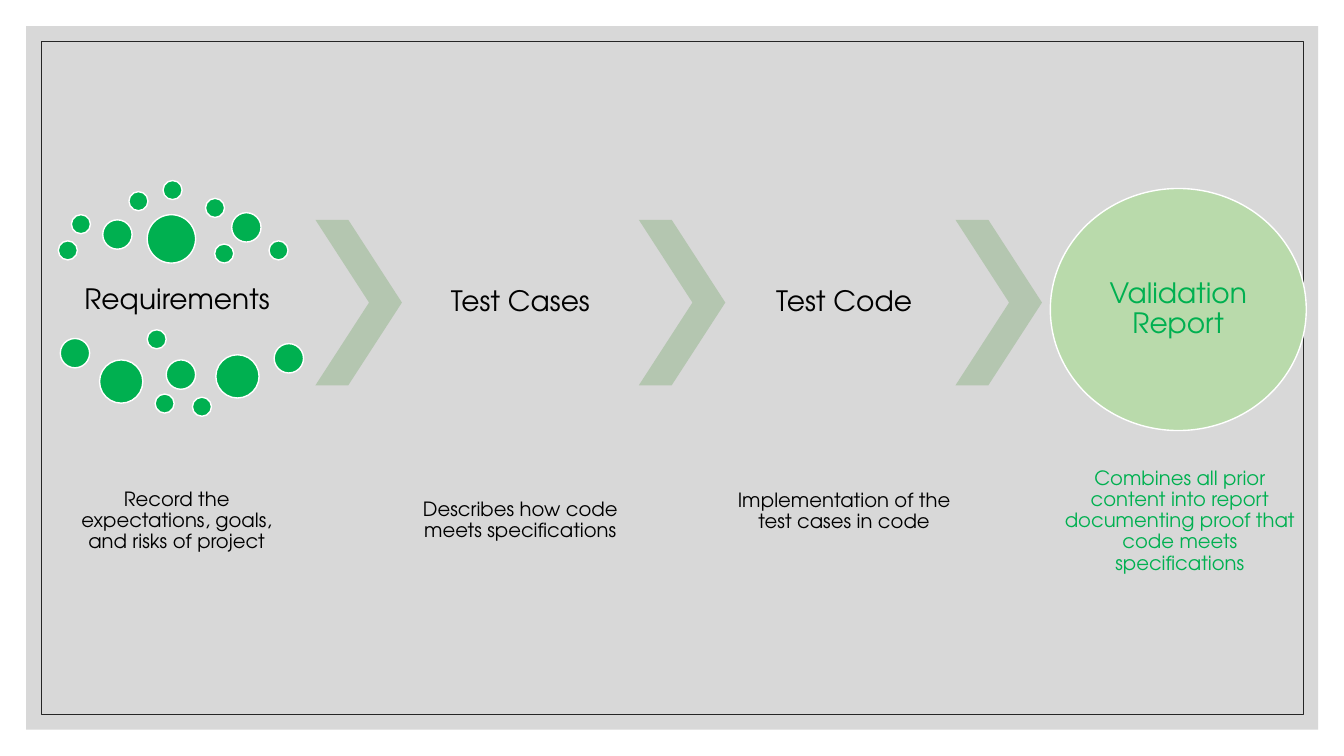
from dataclasses import dataclass

from lxml.etree import SubElement
from pptx import Presentation
from pptx.dml.color import RGBColor
from pptx.enum.shapes import MSO_SHAPE
from pptx.enum.text import MSO_ANCHOR, PP_ALIGN
from pptx.oxml.ns import qn
from pptx.shapes.autoshape import Shape
from pptx.slide import Slide
from pptx.util import Cm, Pt

FONT = "TeX Gyre Adventor"
COLORS = {
    "panel": "BFBFBF",
    "frame": "262626",
    "text": "000000",
    "green": "00B050",
    "chevron": "B4C6B0",
    "report": "B9DAAB",
    "outline": "FFFFFF",
}
SMALL, MEDIUM, LARGE, HUGE = 0.48, 0.74, 1.09, 1.22


@dataclass(frozen=True)
class Box:
    left: float
    top: float
    width: float
    height: float


@dataclass(frozen=True)
class Dot:
    left: float
    top: float
    size: float = SMALL


@dataclass(frozen=True)
class Label:
    text: str
    box: Box
    size: int
    inset: float
    color: str = "text"


@dataclass(frozen=True)
class Step:
    title: Label
    description: Label


def make_step(title: str, title_box: Box, description: str, left: float, top: float,
              color: str = "text", inset: float = 0.08) -> Step:
    return Step(
        Label(title, title_box, 20, inset, color),
        Label(description, Box(left, top, 5.97, 3.68), 14, 0.05, color),
    )


STEPS = [
    make_step("Requirements", Box(0.97, 6.58, 6.99, 1.96),
              "Record the expectations, goals, and risks of project", 1.47, 11.3),
    make_step("Test Cases", Box(10.13, 5.54, 5.97, 4.17),
              "Describes how code meets specifications", 10.13, 11.28),
    make_step("Test Code", Box(18.29, 5.54, 5.97, 4.17),
              "Implementation of the test cases in code", 18.29, 11.05),
    make_step("Validation Report", Box(27.41, 5.64, 4.57, 4.32),
              "Combines all prior content into report documenting proof that "
              "code meets specifications", 26.75, 11.3, "green", 0),
]
CHEVRON_LEFTS = [7.95, 16.1, 24.08]
DOTS = [
    Dot(1.47, 6.07), Dot(1.8, 5.41), Dot(2.59, 5.54, MEDIUM),
    Dot(3.25, 4.83), Dot(4.11, 4.55), Dot(5.18, 5),
    Dot(5.84, 5.36, MEDIUM), Dot(6.78, 6.07), Dot(5.41, 6.15),
    Dot(3.71, 5.41, HUGE), Dot(3.71, 8.31), Dot(1.52, 8.53, MEDIUM),
    Dot(2.51, 9.07, LARGE), Dot(3.91, 9.93), Dot(4.19, 9.07, MEDIUM),
    Dot(4.85, 10.01), Dot(5.44, 8.94, LARGE), Dot(6.91, 8.66, MEDIUM),
]


def color_of(name: str) -> RGBColor:
    return RGBColor.from_string(COLORS[name])


def add_figure(slide: Slide, kind: MSO_SHAPE, box: Box, fill: str = "",
               line: str = "", line_width: float = 1) -> Shape:
    shape = slide.shapes.add_shape(
        kind, Cm(box.left), Cm(box.top), Cm(box.width), Cm(box.height))
    shape.shadow.inherit = False
    if fill:
        shape.fill.solid()
        shape.fill.fore_color.rgb = color_of(fill)
    else:
        shape.fill.background()
    if line:
        shape.line.color.rgb = color_of(line)
        shape.line.width = Pt(line_width)
    else:
        shape.line.fill.background()
    return shape


def set_opacity(shape: Shape, percent: int) -> None:
    color = shape.element.spPr.find(qn("a:solidFill")).find(qn("a:srgbClr"))
    SubElement(color, qn("a:alpha")).set("val", str(percent * 1000))


def add_label(slide: Slide, label: Label) -> None:
    box = label.box
    shape = slide.shapes.add_textbox(
        Cm(box.left), Cm(box.top), Cm(box.width), Cm(box.height))
    text_frame = shape.text_frame
    text_frame.text = label.text
    text_frame.word_wrap = True
    text_frame.vertical_anchor = MSO_ANCHOR.MIDDLE
    text_frame.margin_left = text_frame.margin_right = Cm(label.inset)
    text_frame.margin_top = text_frame.margin_bottom = Cm(label.inset)
    paragraph = text_frame.paragraphs[0]
    paragraph.alignment = PP_ALIGN.CENTER
    paragraph.line_spacing = 0.9
    font = paragraph.runs[0].font
    font.name = FONT
    font.size = Pt(label.size)
    font.color.rgb = color_of(label.color)


def main() -> None:
    presentation = Presentation()
    presentation.slide_width = Cm(33.87)
    presentation.slide_height = Cm(19.05)
    slide = presentation.slides.add_slide(presentation.slide_layouts[6])

    panel = add_figure(slide, MSO_SHAPE.RECTANGLE, Box(0.66, 0.66, 32.56, 17.73), "panel")
    set_opacity(panel, 60)
    add_figure(slide, MSO_SHAPE.RECTANGLE, Box(1.04, 1.04, 31.8, 16.97),
               line="frame", line_width=0.5)

    for dot in DOTS:
        add_figure(slide, MSO_SHAPE.OVAL, Box(dot.left, dot.top, dot.size, dot.size),
                   "green", "outline")
    for left in CHEVRON_LEFTS:
        chevron = add_figure(slide, MSO_SHAPE.CHEVRON, Box(left, 5.54, 2.18, 4.17), "chevron")
        chevron.adjustments[0] = 0.62
    add_figure(slide, MSO_SHAPE.OVAL, Box(26.47, 4.75, 6.45, 6.1), "report", "outline")

    for step in STEPS:
        add_label(slide, step.title)
        add_label(slide, step.description)

    presentation.save("out.pptx")


if __name__ == "__main__":
    main()
